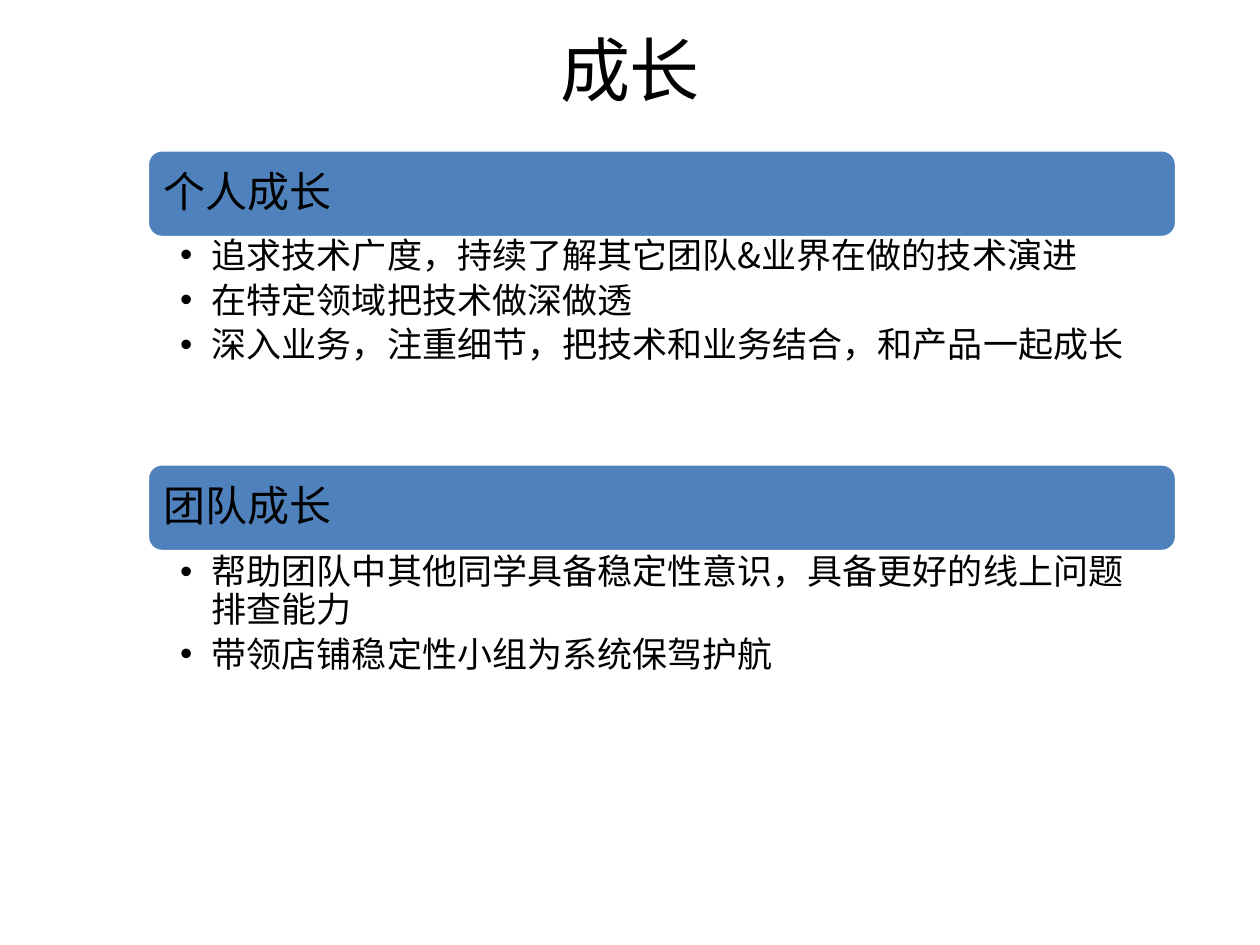
from lxml.etree import SubElement
from pptx import Presentation
from pptx.dml.color import RGBColor
from pptx.enum.shapes import MSO_SHAPE
from pptx.enum.text import MSO_ANCHOR, PP_ALIGN
from pptx.oxml.ns import qn
from pptx.util import Cm, Pt

THEME = {
    "font": "Noto Sans CJK SC",
    "text": RGBColor(0, 0, 0),
    "bar": RGBColor(0x4F, 0x81, 0xBD),
    "outline": RGBColor(255, 255, 255),
    "title": Pt(40),
    "heading": Pt(24),
    "body": Pt(20),
}
LEFT, WIDTH, BAR_HEIGHT = Cm(2.97), Cm(20.75), Cm(1.77)
SECTIONS = [
    {"heading": "个人成长", "bar_top": 3.02, "body_top": 4.72, "body_height": 4.62,
     "points": ["追求技术广度，持续了解其它团队&业界在做的技术演进",
                "在特定领域把技术做深做透",
                "深入业务，注重细节，把技术和业务结合，和产品一起成长"]},
    {"heading": "团队成长", "bar_top": 9.35, "body_top": 11.1, "body_height": 4.42,
     "points": ["帮助团队中其他同学具备稳定性意识，具备更好的线上问题排查能力",
                "带领店铺稳定性小组为系统保驾护航"]},
]


def write(box, lines, size, frame_format, paragraph_format):
    """Fill a shape with paragraphs that share one format."""
    frame = box.text_frame
    for name, value in {"word_wrap": True, **frame_format}.items():
        setattr(frame, name, value)
    for index, line in enumerate(lines):
        para = frame.add_paragraph() if index else frame.paragraphs[0]
        for name, value in paragraph_format.items():
            setattr(para, name, value)
        span = para.add_run()
        span.text = line
        span.font.size = THEME[size]
        span.font.name = THEME["font"]
        span.font.color.rgb = THEME["text"]
        SubElement(span.font._element, qn("a:ea"), typeface=THEME["font"])


def add_bullets(box):
    """Give every paragraph a bullet and a hanging indent."""
    for para in box.text_frame.paragraphs:
        properties = para._p.get_or_add_pPr()
        properties.set("marL", str(Cm(0.64)))
        properties.set("indent", str(-Cm(0.64)))
        SubElement(properties, qn("a:buFont"), typeface="Arial")
        SubElement(properties, qn("a:buChar"), char="•")


deck = Presentation()
deck.slide_width, deck.slide_height = Cm(25.4), Cm(19.05)
page = deck.slides.add_slide(deck.slide_layouts[6])

title = page.shapes.add_textbox(Cm(1.27), Cm(-0.2), Cm(22.86), Cm(3.18))
write(title, ["成长"], "title", {"vertical_anchor": MSO_ANCHOR.MIDDLE},
      {"alignment": PP_ALIGN.CENTER})

heading_frame = {"vertical_anchor": MSO_ANCHOR.MIDDLE,
                 "margin_left": Cm(0.25), "margin_right": Cm(0.25),
                 "margin_top": Cm(0.25), "margin_bottom": Cm(0.25)}
body_frame = {"vertical_anchor": MSO_ANCHOR.TOP,
              "margin_left": Cm(0.66), "margin_right": Cm(0.4),
              "margin_top": Cm(0.08), "margin_bottom": Cm(0.08)}

for section in SECTIONS:
    bar = page.shapes.add_shape(MSO_SHAPE.ROUNDED_RECTANGLE, LEFT,
                                Cm(section["bar_top"]), WIDTH, BAR_HEIGHT)
    bar.shadow.inherit = False
    bar.fill.solid()
    bar.fill.fore_color.rgb = THEME["bar"]
    bar.line.color.rgb = THEME["outline"]
    bar.line.width = Pt(2)
    write(bar, [section["heading"]], "heading", heading_frame,
          {"alignment": PP_ALIGN.LEFT, "line_spacing": 0.9})

    body = page.shapes.add_textbox(LEFT, Cm(section["body_top"]),
                                   WIDTH, Cm(section["body_height"]))
    write(body, section["points"], "body", body_frame,
          {"level": 1, "line_spacing": 0.9, "space_after": Pt(4)})
    add_bullets(body)

deck.save("out.pptx")
